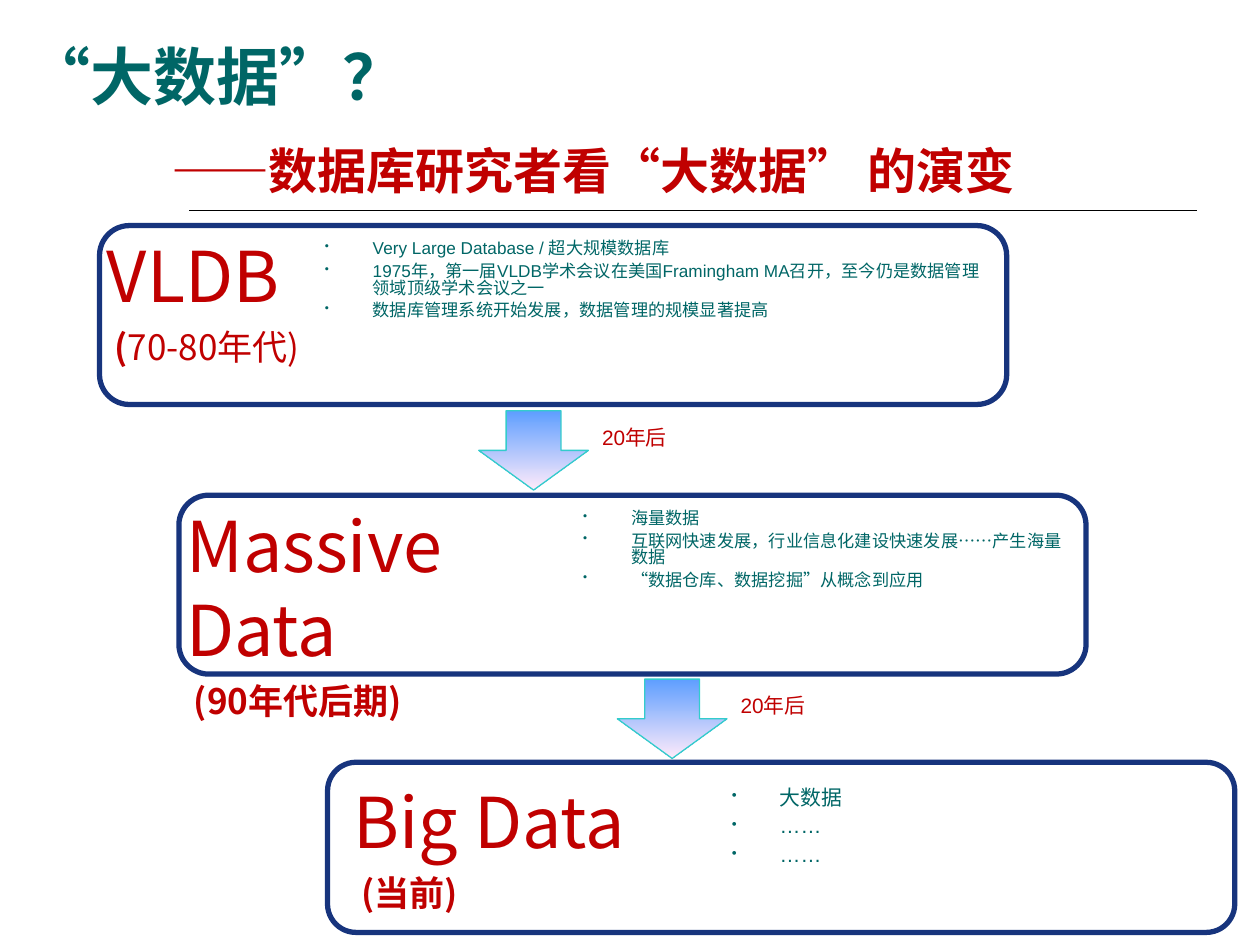
import pptx
import pptx.util
import pptx.dml.color
import pptx.enum.shapes
import pptx.enum.text
import pptx.oxml.ns
from lxml import etree
from pptx.util import Inches, Pt

CJK = "Noto Sans CJK SC"
RED, TEAL, NAVY = "C00000", "006666", "17347D"
SHAPE = pptx.enum.shapes.MSO_SHAPE
QN = pptx.oxml.ns.qn


def rgb(value):
    return pptx.dml.color.RGBColor.from_string(value)


def add_text(box, paragraphs):
    """Add a text box; each paragraph is (runs, size, font, colour, indent, hanging,
    line spacing, space before, bulleted), each run is (text, bold)."""
    s = prs.slides[0].shapes.add_textbox(*[Inches(v) for v in box])
    tf = s.text_frame
    tf.word_wrap = True
    for i, (runs, size, font, color, indent, hanging, spacing, before, bullet) in enumerate(paragraphs):
        p = tf.paragraphs[0] if i == 0 else tf.add_paragraph()
        pPr = p._p.get_or_add_pPr()
        pPr.set("marL", str(Inches(indent)))
        pPr.set("indent", str(Inches(-hanging)))
        if bullet:
            buClr = etree.SubElement(pPr, QN("a:buClr"))
            etree.SubElement(buClr, QN("a:srgbClr"), val=color)
            etree.SubElement(pPr, QN("a:buSzPct"), val="70000")
            etree.SubElement(pPr, QN("a:buChar"), char="•")
        p.line_spacing = spacing
        p.space_before = Pt(before if i else 0)
        for text, bold in runs:
            r = p.add_run()
            r.text = text
            r.font.size, r.font.name, r.font.bold = Pt(size), font, bold
            r.font.color.rgb = rgb(color)
            etree.SubElement(r._r.get_or_add_rPr(), QN("a:ea"), typeface=CJK)
    return tf


prs = pptx.Presentation()
prs.slide_width, prs.slide_height = Inches(10), Inches(7.5)
slide = prs.slides.add_slide(prs.slide_layouts[6])

# Title and rule
rule = slide.shapes.add_connector(pptx.enum.shapes.MSO_CONNECTOR.STRAIGHT,
                                  Inches(1.5), Inches(1.67), Inches(9.5), Inches(1.67))
rule.line.color.rgb = rgb("000000")
rule.line.width = Pt(1)
etree.SubElement(rule._element.spPr, QN("a:effectLst"))

tf = add_text((0, 0.32, 9.8, 1.29), [
    ([("“大数据”？", True)], 36, CJK, TEAL, 0.12, 0, Pt(49), 0, False),
    ([("——数据库研究者看“大数据” 的演变", True)], 28, CJK, RED, 1.26, 0, Pt(49), 0, False),
])
tf.vertical_anchor = pptx.enum.text.MSO_ANCHOR.BOTTOM
tf.margin_bottom = Inches(0.03)

# Eras: frame, heading box, heading, period runs, notes box, note size, note spacing, notes
eras = [
    ((0.79, 1.79, 7.2, 1.42), (0.75, 1.8, 3.31, 1.8), "VLDB",
     [("(", True), ("70-80年代)", False)],
     (2.48, 1.87, 5.51, 0.87), 9.8, 0.8,
     ["Very Large Database / 超大规模数据库",
      "1975年，第一届VLDB学术会议在美国Framingham MA召开，至今仍是数据管理领域顶级学术会议之一",
      "数据库管理系统开始发展，数据管理的规模显著提高"]),
    ((1.42, 3.93, 7.2, 1.42), (1.38, 3.94, 3.31, 1.8), "Massive Data",
     [("(90年代后期)", True)],
     (4.53, 4.01, 4.02, 0.87), 9.8, 0.8,
     ["海量数据",
      "互联网快速发展，行业信息化建设快速发展……产生海量数据",
      "“数据仓库、数据挖掘”从概念到应用"]),
    ((2.6, 6.05, 7.2, 1.35), (2.71, 6.13, 3.31, 1.72), "Big Data",
     [("(当前)", True)],
     (5.71, 6.2, 4.02, 0.83), 11.9, 0.9,
     ["大数据", "……", "……"]),
]
for frame, heading_box, heading, period, notes_box, size, spacing, notes in eras:
    s = slide.shapes.add_shape(SHAPE.ROUNDED_RECTANGLE, *[Inches(v) for v in frame])
    s.adjustments[0] = 0.167
    s.shadow.inherit = False
    s.fill.background()
    s.line.color.rgb = rgb(NAVY)
    s.line.width = Pt(3)
    add_text(heading_box, [
        ([(heading, False)], 40, CJK, RED, 0, 0, 1.0, 0, False),
        (period, 20, CJK, RED, 0.06, 0, 1.0, 5, False),
    ])
    add_text(notes_box, [([(note, False)], size, "Arial", TEAL, 0.38, 0.38, spacing, 3.5, True)
                         for note in notes])

# Arrows between the eras
for x, y in [(3.8, 3.26), (4.9, 5.39)]:
    s = slide.shapes.add_shape(SHAPE.DOWN_ARROW, Inches(x), Inches(y), Inches(0.87), Inches(0.63))
    s.shadow.inherit = False
    s.fill.gradient()
    s.fill.gradient_angle = 270
    for stop, color, position in zip(s.fill.gradient_stops, ("5E9EFF", "FFEBFA"), (0, 1)):
        stop.color.rgb = rgb(color)
        stop.position = position
    s.line.color.rgb = rgb("33CCCC")
    s.line.width = Pt(0.75)
    add_text((x + 0.88, y + 0.08, 1.57, 0.31),
             [([("20年后", False)], 11.9, "Arial", RED, 0.38, 0.38, 0.9, 0, False)])

prs.save("out.pptx")
